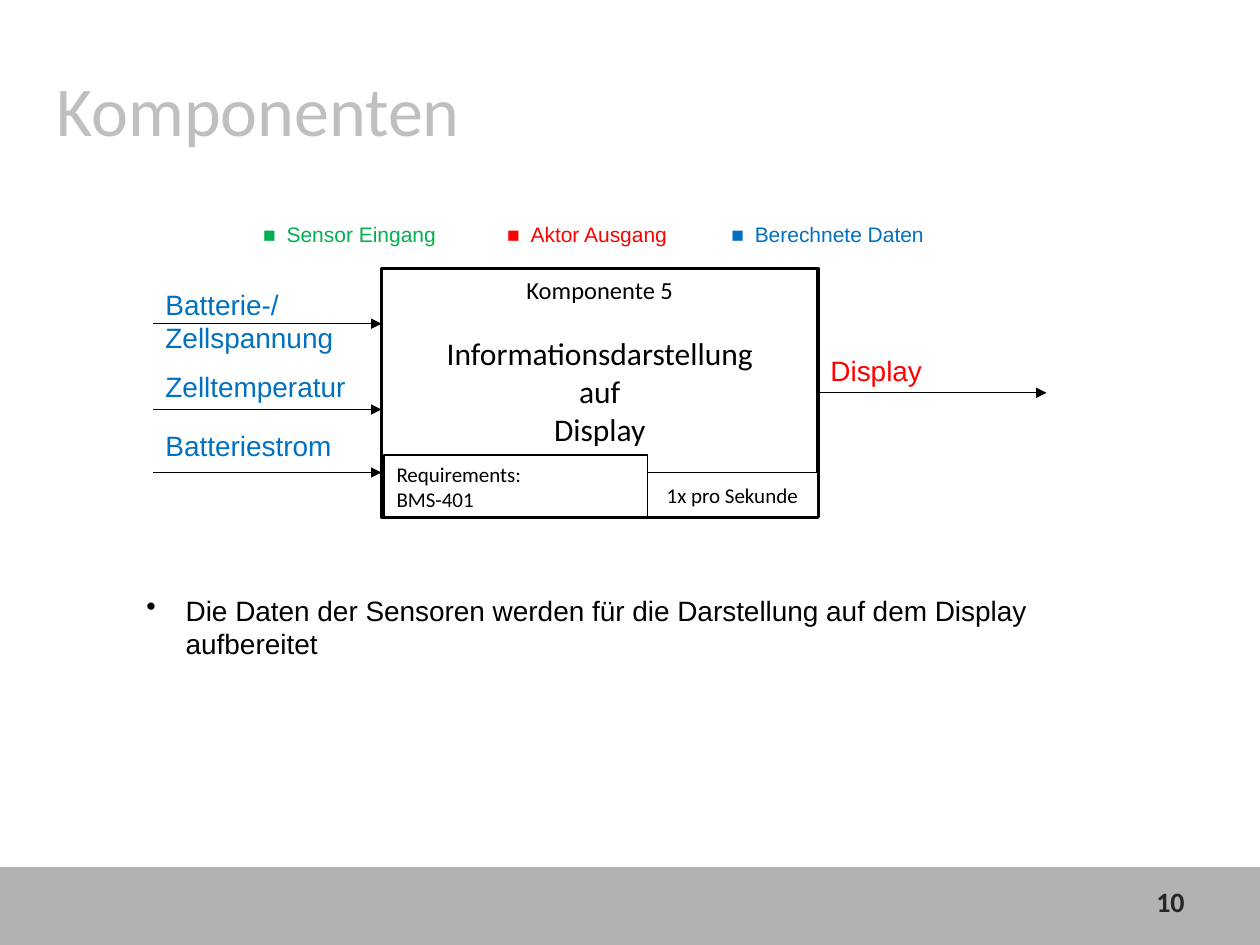
from dataclasses import dataclass

from lxml.etree import SubElement
from pptx import Presentation
from pptx.dml.color import RGBColor
from pptx.enum.shapes import MSO_CONNECTOR as Connector, MSO_SHAPE as Shape
from pptx.enum.text import MSO_ANCHOR as Anchor, MSO_AUTO_SIZE as AutoSize, PP_ALIGN as Align
from pptx.oxml import parse_xml
from pptx.oxml.ns import nsdecls, qn
from pptx.util import Pt

COLORS = {
    "black": "000000",
    "white": "FFFFFF",
    "title": "BFBFBF",
    "footer": "B3B1B2",
    "number": "262626",
    "sensor": "00B050",
    "actuator": "FF0000",
    "computed": "0070C0",
}


@dataclass
class Line:
    text: str
    size: float
    color: str = "black"
    font: str = "Calibri"
    align: Align = Align.LEFT
    bold: bool = False
    space_before: float = 0


@dataclass
class Box:
    left: float
    top: float
    width: float
    height: float

    def lengths(self) -> tuple:
        return Pt(self.left), Pt(self.top), Pt(self.width), Pt(self.height)


@dataclass
class Signal:
    text: str
    label_top: float
    label_height: float
    arrow_y: float


def rgb(name: str) -> RGBColor:
    return RGBColor.from_string(COLORS[name])


def write(shape, lines: list[Line], anchor=Anchor.TOP) -> None:
    frame = shape.text_frame
    frame.word_wrap = True
    frame.auto_size = AutoSize.NONE
    frame.vertical_anchor = anchor
    for index, line in enumerate(lines):
        paragraph = frame.add_paragraph() if index else frame.paragraphs[0]
        paragraph.text = line.text
        paragraph.alignment = line.align
        paragraph.space_before = Pt(line.space_before)
        font = paragraph.font
        font.name, font.size, font.bold = line.font, Pt(line.size), line.bold
        font.color.rgb = rgb(line.color)


def add_text(slide, box: Box, lines: list[Line], anchor=Anchor.TOP):
    shape = slide.shapes.add_textbox(*box.lengths())
    write(shape, lines, anchor)
    return shape


def add_rectangle(slide, box: Box, fill: str, line_width: float = 0):
    """Add a rectangle, outlined in black where line_width is given."""
    shape = slide.shapes.add_shape(Shape.RECTANGLE, *box.lengths())
    shape.shadow.inherit = False
    shape.fill.solid()
    shape.fill.fore_color.rgb = rgb(fill)
    if line_width:
        shape.line.color.rgb = rgb("black")
        shape.line.width = Pt(line_width)
    else:
        shape.line.fill.background()
    return shape


def add_arrow(slide, start_x: float, end_x: float, y: float):
    arrow = slide.shapes.add_connector(
        Connector.STRAIGHT, Pt(start_x), Pt(y), Pt(end_x), Pt(y))
    arrow.line.color.rgb = rgb("black")
    arrow.line.width = Pt(0.75)
    SubElement(arrow.line._get_or_add_ln(), qn("a:tailEnd"), type="triangle")
    SubElement(arrow._element.spPr, qn("a:effectLst"))
    return arrow


def add_signal(slide, signal: Signal, left: float, color: str):
    """Add a labelled arrow to or from the component."""
    arrow = add_arrow(slide, left, left + 130.5, signal.arrow_y)
    add_text(slide, Box(left, signal.label_top, 119, signal.label_height),
             [Line(signal.text, 16, color, "Arial")])
    return arrow


def add_legend(slide, box: Box, entries: list[tuple[str, str, float]]) -> None:
    """Write (text, colour, offset) entries on one line, placed by tab stops."""
    shape = add_text(slide, box, [Line("", 12, font="Arial")])
    paragraph = shape.text_frame.paragraphs[0]
    stops = []
    for text, color, offset in entries:
        run = paragraph.add_run()
        run.text = f"\t■\t{text}" if offset else f"■\t{text}"
        run.font.color.rgb = rgb(color)
        stops += [offset, offset + 13.4]
    tabs = "".join(f'<a:tab pos="{Pt(stop)}" algn="l"/>' for stop in stops if stop)
    tab_list = parse_xml(f'<a:tabLst {nsdecls("a")}>{tabs}</a:tabLst>')
    paragraph.font._element.addprevious(tab_list)


def add_bullet(shape, indent: float) -> None:
    paragraph = shape.text_frame.paragraphs[0]
    properties = paragraph._p.get_or_add_pPr()
    properties.set("marL", str(Pt(indent)))
    properties.set("indent", str(-Pt(indent)))
    bullet = parse_xml(f'<a:buChar {nsdecls("a")} char="•"/>')
    paragraph.font._element.addprevious(bullet)


def main() -> None:
    presentation = Presentation()
    presentation.slide_width, presentation.slide_height = Pt(720), Pt(540)
    slide = presentation.slides.add_slide(presentation.slide_layouts[5])

    add_rectangle(slide, Box(0, 495.5, 720, 44.5), "footer")
    add_text(slide, Box(516, 500.5, 168, 29),
             [Line("10", 16, "number", align=Align.RIGHT, bold=True)], Anchor.MIDDLE)

    title = slide.shapes.title
    title.left, title.top, title.width, title.height = Box(25, 34.5, 505, 55.5).lengths()
    write(title, [Line("Komponenten", 40, "title")])

    component = add_rectangle(slide, Box(218, 153.5, 249.5, 142), "white", 2)
    write(component, [
        Line("Komponente 5", 14, align=Align.CENTER),
        Line("Informationsdarstellung", 18, align=Align.CENTER, space_before=17),
        Line("auf", 18, align=Align.CENTER),
        Line("Display", 18, align=Align.CENTER),
    ])
    rate = add_rectangle(slide, Box(370, 270, 97, 25.5), "white", 0.75)
    write(rate, [Line("1x pro Sekunde", 12, align=Align.CENTER)], Anchor.MIDDLE)
    requirements = add_rectangle(slide, Box(219.5, 260, 150.5, 35.5), "white", 0.75)
    write(requirements, [Line("Requirements:", 12), Line("BMS-401", 12)])

    inputs = [
        Signal("Batterie-/ Zellspannung", 160.5, 46, 185),
        Signal("Zelltemperatur", 207.5, 26.5, 234),
        Signal("Batteriestrom", 241.5, 26.5, 270),
    ]
    for signal in inputs:
        add_signal(slide, signal, 87.5, "computed")
    output = add_signal(slide, Signal("Display", 198.5, 26.5, 224.5), 467.5, "actuator")
    output.begin_connect(component, 3)

    add_legend(slide, Box(143.3, 123, 400, 21.5), [
        ("Sensor Eingang", "sensor", 0),
        ("Aktor Ausgang", "actuator", 139.4),
        ("Berechnete Daten", "computed", 267.5),
    ])
    note = add_text(slide, Box(76.5, 335.5, 550, 46), [
        Line("Die Daten der Sensoren werden für die Darstellung auf dem Display aufbereitet",
             16, font="Arial")])
    add_bullet(note, 22.5)

    presentation.save("out.pptx")


if __name__ == "__main__":
    main()
